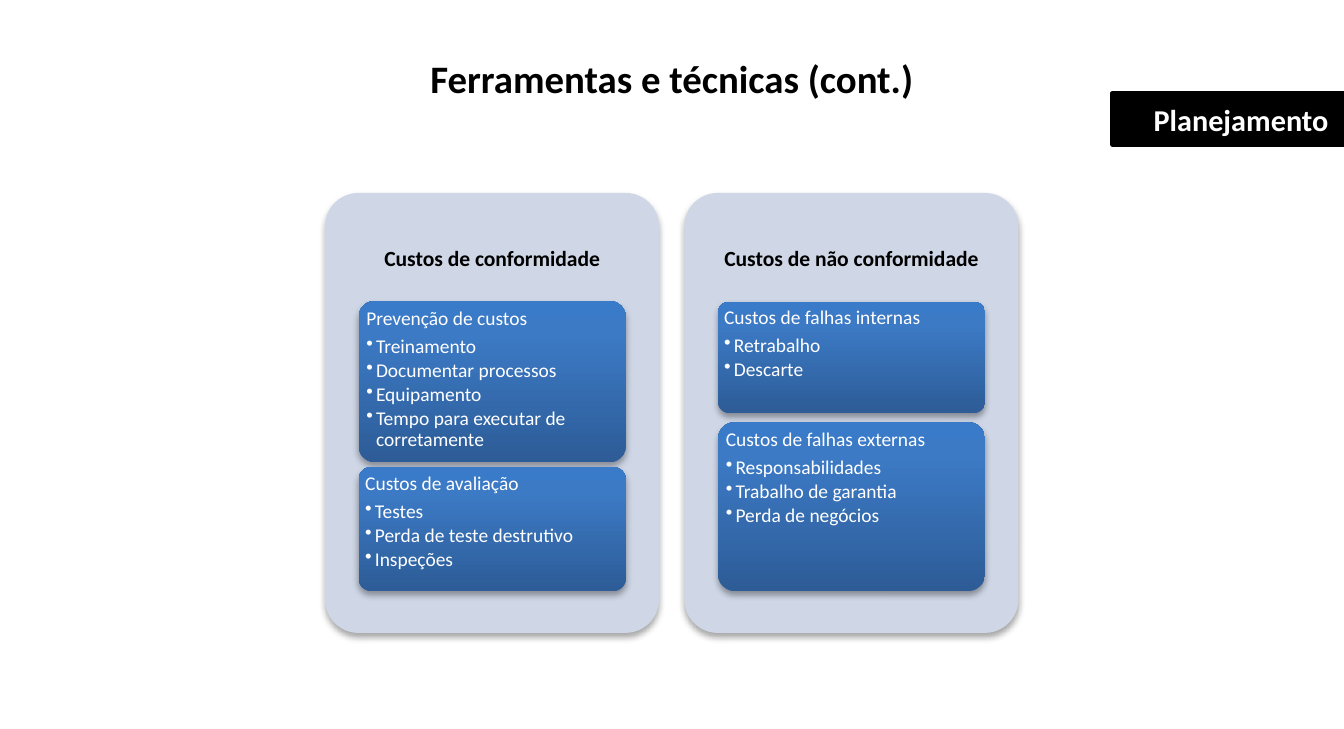
from copy import deepcopy

from lxml.etree import SubElement
from pptx import Presentation
from pptx.dml.color import RGBColor
from pptx.enum.shapes import MSO_SHAPE as Shape
from pptx.enum.text import MSO_ANCHOR as Anchor, PP_ALIGN as Align
from pptx.oxml.ns import qn
from pptx.util import Pt

BLACK = RGBColor(0x00, 0x00, 0x00)
WHITE = RGBColor(0xFF, 0xFF, 0xFF)
PANEL_FILL = RGBColor(0xCF, 0xD7, 0xE7)
CARD_STOPS = [
    (0, RGBColor(0x2D, 0x5C, 0x97)),
    (0.8, RGBColor(0x3C, 0x7A, 0xC5)),
    (1, RGBColor(0x39, 0x7B, 0xC9)),
]

SLIDE_W, SLIDE_H = 622.8, 337.68
PANEL_LEFT, PANEL_TOP, PANEL_W, PANEL_H = 150.6, 89.4, 154.8, 203.8
PANEL_STEP = 166.5
HEADING_H = 61.2
CARD_INDENT, CARD_W = 15.6, 123.8
BULLET_INDENT = 4.5

# Each panel: heading, then cards as (top, height, heading, items)
PANELS = [
    ("Custos de conformidade", [
        (139.4, 74.8, "Prevenção de custos",
         ["Treinamento", "Documentar processos", "Equipamento",
          "Tempo para executar de corretamente"]),
        (216.4, 57.5, "Custos de avaliação",
         ["Testes", "Perda de teste destrutivo", "Inspeções"]),
    ]),
    ("Custos de não conformidade", [
        (139.8, 51.6, "Custos de falhas internas", ["Retrabalho", "Descarte"]),
        (195.6, 78.3, "Custos de falhas externas",
         ["Responsabilidades", "Trabalho de garantia", "Perda de negócios"]),
    ]),
]


def set_frame(frame, anchor, side, top):
    frame.word_wrap = True
    frame.vertical_anchor = anchor
    frame.margin_left = frame.margin_right = Pt(side)
    frame.margin_top = frame.margin_bottom = Pt(top)


def style(paragraph, size, color, bold=False, align=Align.LEFT):
    paragraph.alignment = align
    font = paragraph.font
    font.name, font.size, font.bold = "Calibri", Pt(size), bold
    font.color.rgb = color


def add_label(slide, left, top, width, height, text, size, anchor, side, edge):
    box = slide.shapes.add_textbox(Pt(left), Pt(top), Pt(width), Pt(height))
    set_frame(box.text_frame, anchor, side, edge)
    paragraph = box.text_frame.paragraphs[0]
    paragraph.text = text
    style(paragraph, size, BLACK, bold=True, align=Align.CENTER)
    return paragraph


def add_tag(slide, text):
    """Black section marker that touches the right edge of the slide."""
    width = 107.3
    tag = slide.shapes.add_shape(
        Shape.RECTANGLE, Pt(SLIDE_W - width), Pt(43.2), Pt(width), Pt(23.8))
    tag.shadow.inherit = False
    tag.fill.solid()
    tag.fill.fore_color.rgb = BLACK
    tag.line.color.rgb = BLACK
    tag.line.width = Pt(2)
    set_frame(tag.text_frame, Anchor.MIDDLE, 7.2, 3.6)
    paragraph = tag.text_frame.paragraphs[0]
    paragraph.text = text
    style(paragraph, 14, WHITE, bold=True, align=Align.RIGHT)


def add_rounded(slide, left, top, width, height):
    """Rounded, borderless rectangle with a soft shadow below it."""
    shape = slide.shapes.add_shape(
        Shape.ROUNDED_RECTANGLE, Pt(left), Pt(top), Pt(width), Pt(height))
    shape.adjustments[0] = 0.1
    shape.line.fill.background()
    shape.shadow.inherit = False
    effects = shape._element.spPr.find(qn("a:effectLst"))
    shadow = SubElement(effects, qn("a:outerShdw"), blurRad=str(Pt(3.1)),
                        dist=str(Pt(1.8)), dir="5400000", rotWithShape="0")
    color = SubElement(shadow, qn("a:srgbClr"), val=str(BLACK))
    SubElement(color, qn("a:alpha"), val="35000")
    return shape


def fill_card(card):
    card.fill.gradient()
    card.fill.gradient_angle = 90
    stop_list = card._element.spPr.find(qn("a:gradFill")).find(qn("a:gsLst"))
    stop_list.append(deepcopy(stop_list[-1]))
    for stop, (position, color) in zip(card.fill.gradient_stops, CARD_STOPS):
        stop.position = position
        stop.color.rgb = color


def add_bullet(paragraph):
    properties = paragraph._p.get_or_add_pPr()
    properties.set("marL", str(Pt(BULLET_INDENT)))
    properties.set("indent", str(Pt(-BULLET_INDENT)))
    bullet_color = SubElement(properties, qn("a:buClr"))
    SubElement(bullet_color, qn("a:srgbClr"), val=str(WHITE))
    SubElement(properties, qn("a:buChar"), char="•")
    paragraph.level = 1


def add_card(slide, left, top, height, heading, items):
    card = add_rounded(slide, left, top, CARD_W, height)
    fill_card(card)
    frame = card.text_frame
    set_frame(frame, Anchor.TOP, 1.35, 1.35)
    frame.paragraphs[0].text = heading
    for index, item in enumerate(items):
        paragraph = frame.add_paragraph()
        paragraph.text = item
        add_bullet(paragraph)
        paragraph.space_before = Pt(1.4 if index else 3.1)
    for paragraph in frame.paragraphs:
        paragraph.line_spacing = 0.9
        style(paragraph, 9, WHITE)


def add_panel(slide, left, heading, cards):
    panel = add_rounded(slide, left, PANEL_TOP, PANEL_W, PANEL_H)
    panel.fill.solid()
    panel.fill.fore_color.rgb = PANEL_FILL
    label = add_label(slide, left, PANEL_TOP, PANEL_W, HEADING_H,
                      heading, 10, Anchor.MIDDLE, 3, 3)
    label.line_spacing = 0.9
    for card in cards:
        add_card(slide, left + CARD_INDENT, *card)


def main():
    deck = Presentation()
    deck.slide_width, deck.slide_height = Pt(SLIDE_W), Pt(SLIDE_H)
    slide = deck.slides.add_slide(deck.slide_layouts[6])
    add_label(slide, 0, 21.6, SLIDE_W, 28.8, "Ferramentas e técnicas (cont.)",
              18, Anchor.TOP, 7.2, 3.6)
    add_tag(slide, "Planejamento")
    for index, (heading, cards) in enumerate(PANELS):
        add_panel(slide, PANEL_LEFT + index * PANEL_STEP, heading, cards)
    deck.save("out.pptx")


if __name__ == "__main__":
    main()
